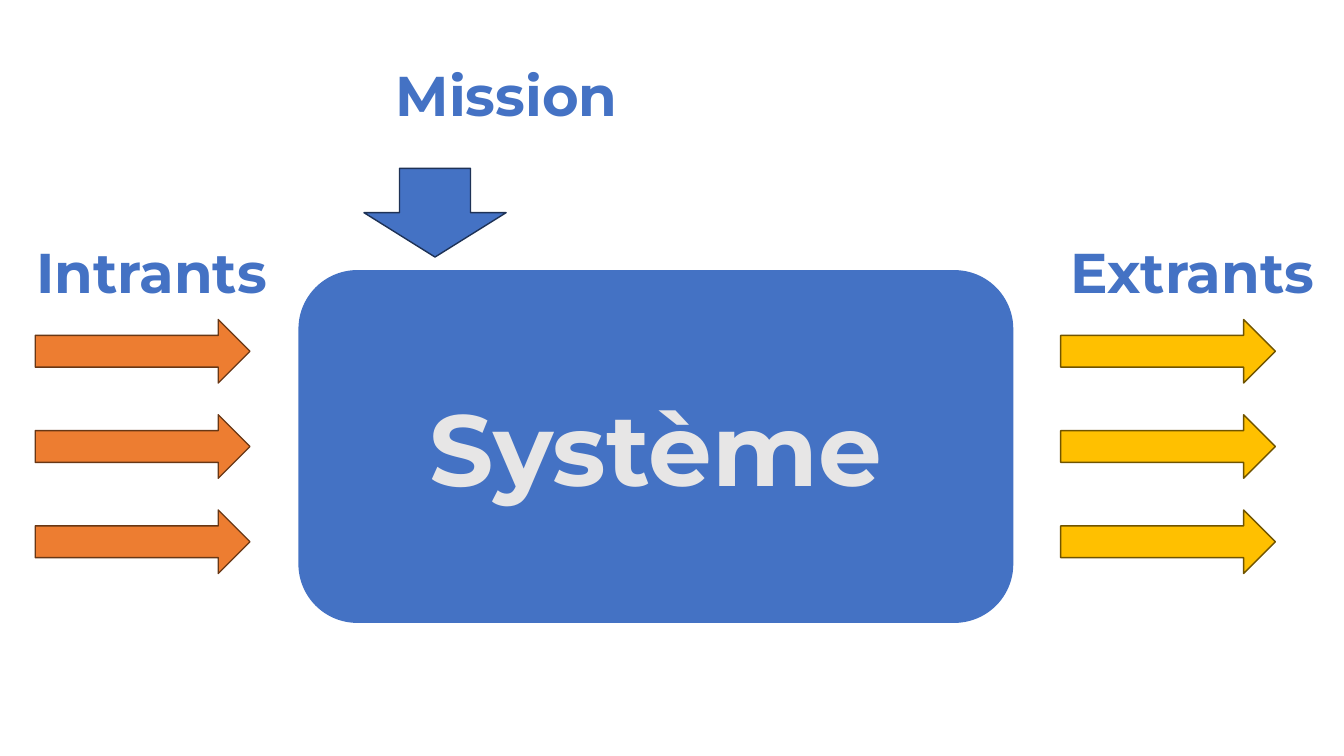
from dataclasses import dataclass

import pptx
import pptx.dml.color
import pptx.enum.shapes
import pptx.enum.text
import pptx.slide
import pptx.text.text
import pptx.util

Inches = pptx.util.Inches
RGBColor = pptx.dml.color.RGBColor
MSO_SHAPE = pptx.enum.shapes.MSO_SHAPE

BLUE = RGBColor(0x44, 0x72, 0xC4)
DARK_BLUE = RGBColor(0x1E, 0x32, 0x56)
ORANGE = RGBColor(0xED, 0x7D, 0x31)
DARK_ORANGE = RGBColor(0x68, 0x37, 0x15)
GOLD = RGBColor(0xFF, 0xC0, 0x00)
DARK_GOLD = RGBColor(0x70, 0x54, 0x00)
LIGHT_GREY = RGBColor(0xE7, 0xE6, 0xE6)

FLOW_TOP, FLOW_STEP, FLOW_COUNT = 3.17, 0.945, 3


@dataclass(frozen=True)
class Box:
    left: float
    top: float
    width: float
    height: float

    def lengths(self) -> list[pptx.util.Length]:
        return [Inches(v) for v in (self.left, self.top, self.width, self.height)]


@dataclass(frozen=True)
class Block:
    kind: MSO_SHAPE
    box: Box
    fill: RGBColor
    line: RGBColor | None = None
    text: str = ""


@dataclass(frozen=True)
class Label:
    text: str
    box: Box


def write(tf: pptx.text.text.TextFrame, text: str, size: int, color: RGBColor) -> None:
    tf.word_wrap = True
    tf.vertical_anchor = pptx.enum.text.MSO_ANCHOR.MIDDLE
    p = tf.paragraphs[0]
    p.alignment = pptx.enum.text.PP_ALIGN.CENTER
    r = p.add_run()
    r.text = text
    font_format = {"name": "Montserrat", "size": pptx.util.Pt(size), "bold": True}
    for name, value in font_format.items():
        setattr(r.font, name, value)
    r.font.color.rgb = color


def draw_block(s: pptx.slide.Slide, block: Block) -> None:
    sp = s.shapes.add_shape(block.kind, *block.box.lengths())
    sp.shadow.inherit = False
    sp.fill.solid()
    sp.fill.fore_color.rgb = block.fill
    if block.line is None:
        sp.line.fill.background()
    else:
        sp.line.color.rgb = block.line
        sp.line.width = pptx.util.Pt(1)
    if block.text:
        write(sp.text_frame, block.text, 72, LIGHT_GREY)


def draw_label(s: pptx.slide.Slide, label: Label) -> None:
    sp = s.shapes.add_textbox(*label.box.lengths())
    write(sp.text_frame, label.text, 40, BLUE)


def flow_arrows(left: float, fill: RGBColor, line: RGBColor) -> list[Block]:
    """Return a column of equally spaced arrows pointing right."""
    return [
        Block(MSO_SHAPE.RIGHT_ARROW, Box(left, FLOW_TOP + i * FLOW_STEP, 2.13, 0.63), fill, line)
        for i in range(FLOW_COUNT)
    ]


BLOCKS = [
    Block(MSO_SHAPE.ROUNDED_RECTANGLE, Box(2.96, 2.68, 7.09, 3.5), BLUE, text="Système"),
    *flow_arrows(0.35, ORANGE, DARK_ORANGE),
    *flow_arrows(10.52, GOLD, DARK_GOLD),
    Block(MSO_SHAPE.DOWN_ARROW, Box(3.61, 1.67, 1.41, 0.88), BLUE, DARK_BLUE),
]
LABELS = [
    Label("Mission", Box(3.13, 0.55, 3.79, 0.77)),
    Label("Intrants", Box(0.05, 2.3, 2.91, 0.77)),
    Label("Extrants", Box(10.37, 2.3, 2.91, 0.77)),
]


def main() -> None:
    prs = pptx.Presentation()
    prs.slide_width, prs.slide_height = Inches(13.33), Inches(7.5)
    s = prs.slides.add_slide(prs.slide_layouts[6])
    for block in BLOCKS:
        draw_block(s, block)
    for label in LABELS:
        draw_label(s, label)
    prs.save("out.pptx")


if __name__ == "__main__":
    main()
